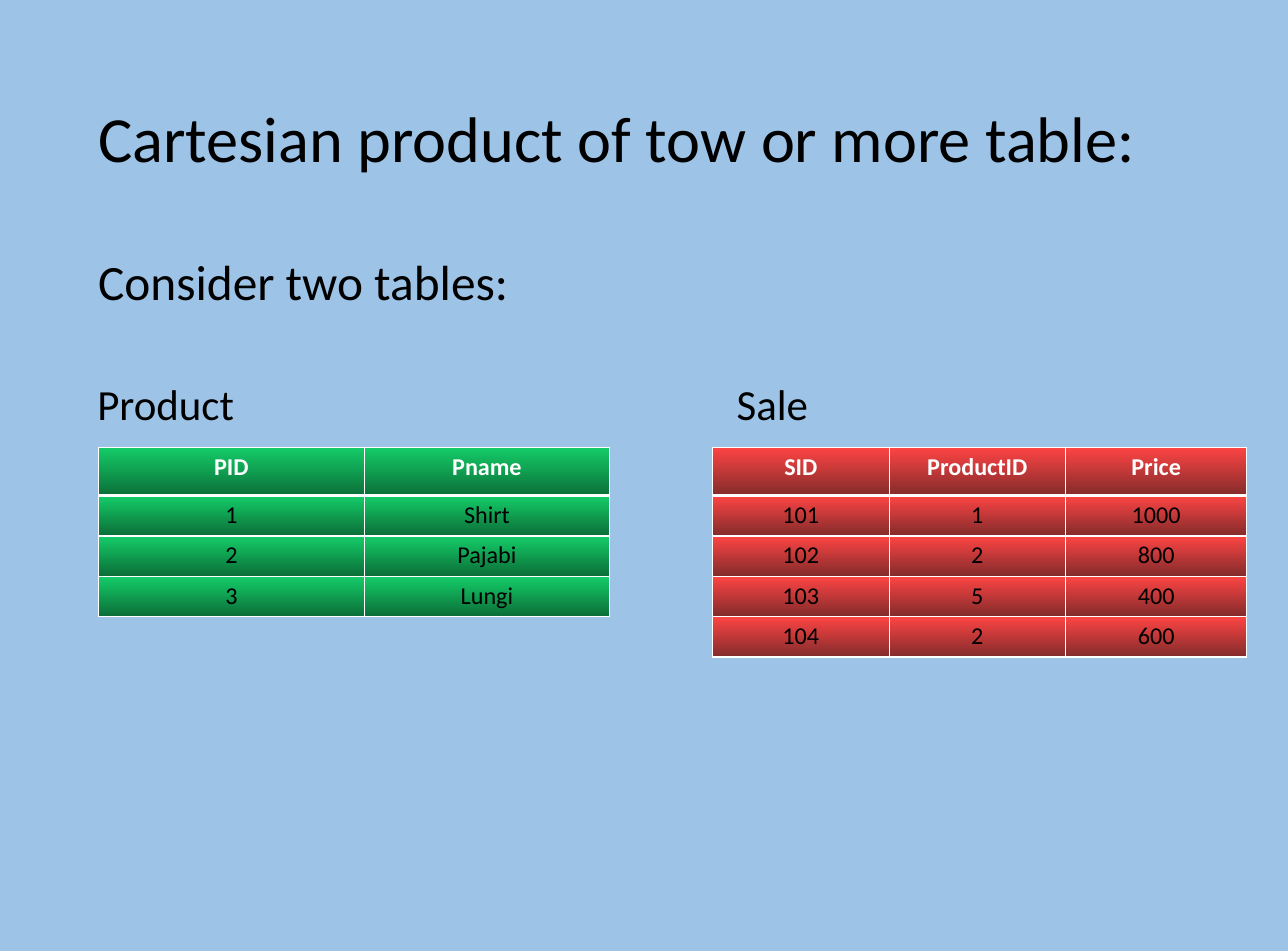
from lxml import etree
from pptx import Presentation
from pptx.dml.color import RGBColor
from pptx.enum.text import MSO_ANCHOR, PP_ALIGN
from pptx.oxml.ns import qn
from pptx.util import Cm, Pt

LEFT, CENTER = PP_ALIGN.LEFT, PP_ALIGN.CENTER
MIDDLE = MSO_ANCHOR.MIDDLE

FONT = "Calibri"
BLACK, WHITE, SKY = "000000", "FFFFFF", "9DC3E6"
GREEN, RED = ("14CD68", "0B6E38"), ("FE4444", "832B2B")

TITLE = "Cartesian product of tow or more table:"
# text, left, top, width, height in cm, size, line spacing
LABELS = [
    ("Consider two tables:", 2.33, 6.65, 29.21, 15.85, 36.8, 0.9),
    ("Product", 2.31, 9.8, 8.84, 1.62, 32, 1),
    ("Sale", 19.12, 9.8, 10.36, 1.62, 32, 1),
]
# left and column widths in cm, gradient, rows
TABLES = [
    (2.59, (6.99, 6.45), GREEN, [
        ("PID", "Pname"),
        ("1", "Shirt"),
        ("2", "Pajabi"),
        ("3", "Lungi"),
    ]),
    (18.74, (4.64, 4.64, 4.77), RED, [
        ("SID", "ProductID", "Price"),
        ("101", "1", "1000"),
        ("102", "2", "800"),
        ("103", "5", "400"),
        ("104", "2", "600"),
    ]),
]
TABLE_TOP, HEADER_H, ROW_H = 11.76, 1.27, 1.06
THIN, THICK = 1, 3


def rgb(value):
    return RGBColor.from_string(value)


def write(tf, text, size, color=BLACK, align=LEFT, bold=False, spacing=1):
    tf.text = text
    p = tf.paragraphs[0]
    p.alignment, p.line_spacing = align, spacing
    font = p.runs[0].font
    font.name, font.size, font.bold = FONT, Pt(size), bold
    font.color.rgb = rgb(color)


def set_borders(cell, row):
    top = THICK if row == 1 else THIN
    bottom = THICK if row == 0 else THIN
    tcPr = cell._tc.get_or_add_tcPr()
    for side, width in zip("LRTB", (THIN, THIN, top, bottom)):
        ln = etree.SubElement(tcPr, qn(f"a:ln{side}"), w=str(Pt(width)))
        fill = etree.SubElement(ln, qn("a:solidFill"))
        etree.SubElement(fill, qn("a:srgbClr"), val=WHITE)


def set_gradient(fill, colors):
    fill.gradient()
    fill.gradient_angle = 270
    for stop, color in zip(fill.gradient_stops, colors):
        stop.color.rgb = rgb(color)


def add_data_table(s, left, widths, colors, rows):
    heights = [HEADER_H] + [ROW_H] * (len(rows) - 1)
    table = s.shapes.add_table(len(rows), len(widths), Cm(left), Cm(TABLE_TOP),
                               Cm(sum(widths)), Cm(sum(heights))).table
    for column, width in zip(table.columns, widths):
        column.width = Cm(width)
    for i, (values, height) in enumerate(zip(rows, heights)):
        table.rows[i].height = Cm(height)
        header = i == 0
        for j, value in enumerate(values):
            cell = table.cell(i, j)
            set_borders(cell, i)
            set_gradient(cell.fill, colors)
            write(cell.text_frame, value, 18, WHITE if header else BLACK,
                  CENTER, header)


def main():
    prs = Presentation()
    prs.slide_width, prs.slide_height = Cm(33.87), Cm(25)
    s = prs.slides.add_slide(prs.slide_layouts[5])
    s.background.fill.solid()
    s.background.fill.fore_color.rgb = rgb(SKY)

    title = s.shapes.title
    title.left, title.top = Cm(2.33), Cm(1.32)
    title.width, title.height = Cm(29.21), Cm(4.83)
    title.text_frame.vertical_anchor = MIDDLE
    write(title.text_frame, TITLE, 48, spacing=0.9)

    for text, left, top, width, height, size, spacing in LABELS:
        sp = s.shapes.add_textbox(Cm(left), Cm(top), Cm(width), Cm(height))
        sp.text_frame.word_wrap = True
        write(sp.text_frame, text, size, spacing=spacing)

    for left, widths, colors, rows in TABLES:
        add_data_table(s, left, widths, colors, rows)

    prs.save("out.pptx")


if __name__ == "__main__":
    main()
